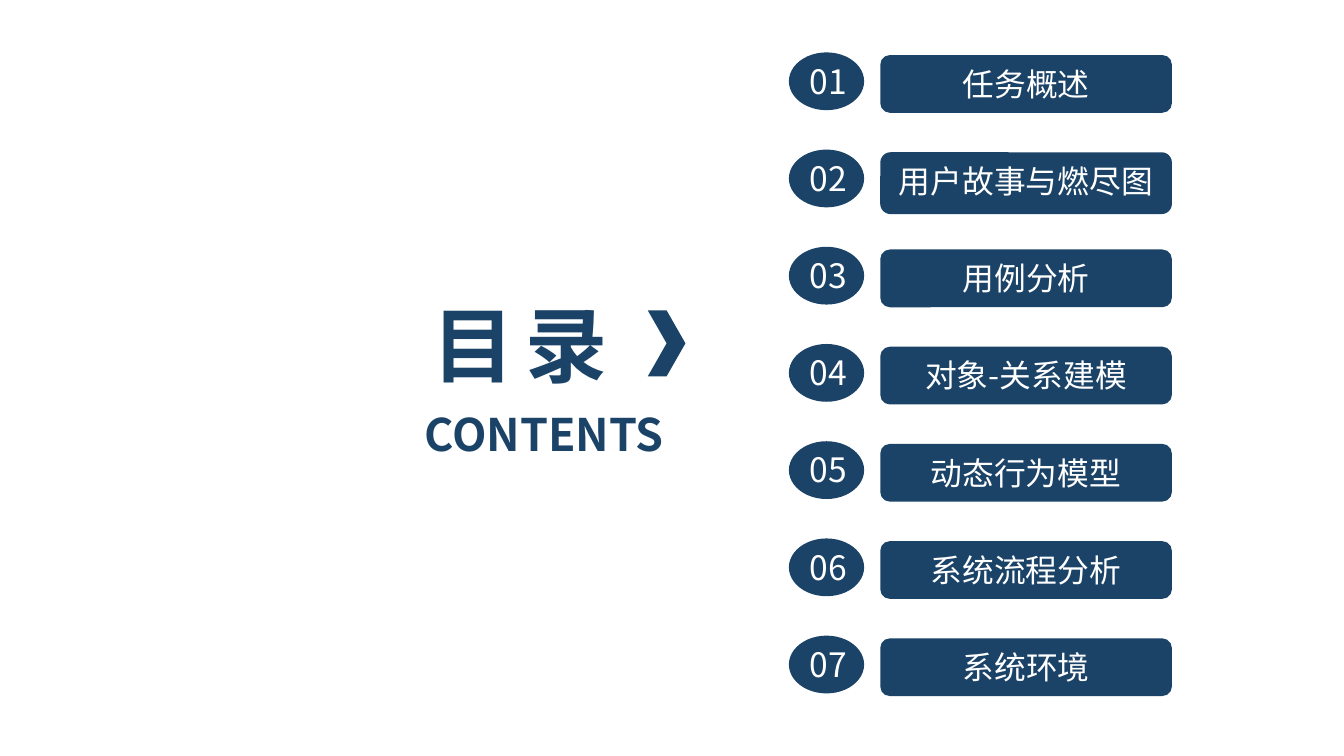
"""Build a table-of-contents slide with seven numbered chapters."""
from pptx import Presentation
from pptx.dml.color import RGBColor
from pptx.enum.shapes import MSO_SHAPE
from pptx.enum.text import MSO_ANCHOR, PP_ALIGN
from pptx.oxml.ns import qn
from pptx.util import Inches, Pt

CHAPTERS = [
    "任务概述",
    "用户故事与燃尽图",
    "用例分析",
    "对象-关系建模",
    "动态行为模型",
    "系统流程分析",
    "系统环境",
]
TITLE = "目 录"
SUBTITLE = "CONTENTS"
COLORS = {"navy": "1B4367", "white": "FFFFFF"}
FONT = "Noto Sans CJK SC"
FIRST_TOP, LAST_TOP = 0.39, 4.73
ROW_PITCH = (LAST_TOP - FIRST_TOP) / (len(CHAPTERS) - 1)
BAR_HEIGHT = 0.43
TALL_BARS = {"用户故事与燃尽图": 0.46}


def color(name):
    return RGBColor.from_string(COLORS[name])


def write(shape, text, size, color_name, align=PP_ALIGN.CENTER,
          anchor=MSO_ANCHOR.MIDDLE, bold=False, spacing=None):
    frame = shape.text_frame
    frame.text = text
    frame.word_wrap = True
    frame.vertical_anchor = anchor
    paragraph = frame.paragraphs[0]
    paragraph.alignment = align
    run = paragraph.runs[0]
    run.font.size = Pt(size)
    run.font.bold = bold
    run.font.name = FONT
    run.font.color.rgb = color(color_name)
    properties = run._r.get_or_add_rPr()
    east_asian = properties.makeelement(qn("a:ea"), {"typeface": FONT})
    properties.find(qn("a:latin")).addnext(east_asian)
    if spacing is not None:
        properties.set("spc", str(round(spacing * 100)))


def add_block(slide, kind, left, top, width, height):
    shape = slide.shapes.add_shape(kind, Inches(left), Inches(top), Inches(width), Inches(height))
    shape.shadow.inherit = False
    shape.fill.solid()
    shape.fill.fore_color.rgb = color("navy")
    shape.line.fill.background()
    return shape


def add_label(slide, left, top, width, height, *text_style, **options):
    box = slide.shapes.add_textbox(Inches(left), Inches(top), Inches(width), Inches(height))
    write(box, *text_style, **options)


def add_chapter(slide, number, chapter):
    top = FIRST_TOP + (number - 1) * ROW_PITCH
    height = TALL_BARS.get(chapter, BAR_HEIGHT)
    bar = add_block(slide, MSO_SHAPE.ROUNDED_RECTANGLE, 6.55, top + 0.02, 2.17, height)
    write(bar, chapter, 17, "white", anchor=MSO_ANCHOR.TOP)
    add_block(slide, MSO_SHAPE.OVAL, 5.87, top, 0.56, 0.43)
    add_label(slide, 5.82, top + 0.01, 0.69, 0.4, f"{number:02d}", 18, "white")


def main():
    presentation = Presentation()
    presentation.slide_width = Inches(10)
    presentation.slide_height = presentation.slide_width * 9 // 16
    slide = presentation.slides.add_slide(presentation.slide_layouts[6])
    for number, chapter in enumerate(CHAPTERS, start=1):
        add_chapter(slide, number, chapter)
    add_label(slide, 3.06, 2.98, 2.31, 0.5, SUBTITLE, 24, "navy", align=PP_ALIGN.LEFT, bold=True)
    add_label(slide, 3.12, 2.14, 2.35, 0.84, TITLE, 44, "navy",
              align=PP_ALIGN.LEFT, bold=True, spacing=-2.2)
    add_block(slide, MSO_SHAPE.CHEVRON, 4.82, 2.31, 0.28, 0.49)
    presentation.save("out.pptx")


if __name__ == "__main__":
    main()
